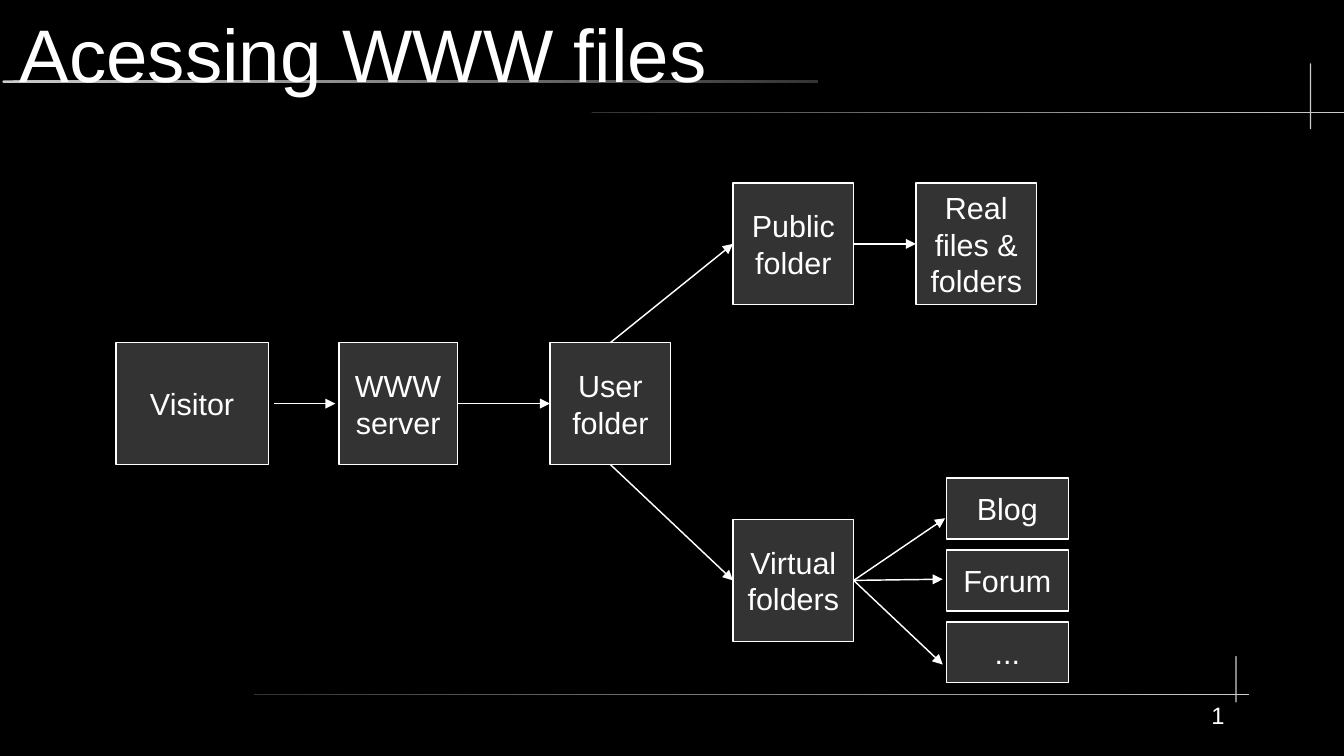
"""Build a slide that shows how a visitor reaches files through a web server."""
from dataclasses import dataclass
from typing import Optional

from lxml import etree
from pptx import Presentation
from pptx import util as u
from pptx.dml.color import RGBColor
from pptx.enum import shapes, text
from pptx.oxml.ns import qn


@dataclass(frozen=True)
class Theme:
    font: str = "Arial"
    back: RGBColor = RGBColor(0, 0, 0)
    ink: RGBColor = RGBColor(0xFF, 0xFF, 0xFF)
    dark: RGBColor = RGBColor(0x33, 0x33, 0x33)
    light: RGBColor = RGBColor(0xCC, 0xCC, 0xCC)
    title: float = 44
    body: float = 18
    number: float = 14
    line: float = 0.85


@dataclass(frozen=True)
class Rule:
    x: float
    y: float
    w: float
    h: float
    start: RGBColor
    end: RGBColor


@dataclass(frozen=True)
class Box:
    label: str
    x: float
    y: float
    w: float = 0.99
    h: float = 1


@dataclass(frozen=True)
class Arrow:
    x1: float
    y1: float
    x2: float
    y2: float
    begin: Optional[tuple[str, int]] = None
    end: Optional[tuple[str, int]] = None


T = Theme()
TOP, LEFT, BOTTOM, RIGHT = range(4)

RULES = [
    Rule(0.02, 0.66, 6.69, 0.02, T.light, T.dark),
    Rule(4.85, 0.92, 6.21, 0.01, T.dark, T.light),
    Rule(10.74, 0.52, 0.01, 0.54, T.light, T.light),
    Rule(2.08, 5.69, 8.16, 0.01, T.dark, T.light),
    Rule(10.13, 5.38, 0.01, 0.38, T.light, T.light),
]

BOXES = [
    Box("Visitor", 0.95, 2.81, w=1.25),
    Box("WWW\nserver", 2.78, 2.81, w=0.97),
    Box("User\nfolder", 4.51, 2.81),
    Box("Public\nfolder", 6.01, 1.5),
    Box("Real\nfiles &\nfolders", 7.51, 1.5),
    Box("Virtual\nfolders", 6.01, 4.26),
] + [
    Box(label, 7.76, 3.92 + 0.59 * i, w=1, h=0.5)
    for i, label in enumerate(["Blog", "Forum", "..."])
]

SERVER, USER, PUBLIC, REAL, VIRTUAL = (box.label for box in BOXES[1:6])

ARROWS = [
    Arrow(2.25, 3.31, 2.75, 3.31),
    Arrow(3.75, 3.31, 4.5, 3.31, (SERVER, RIGHT), (USER, LEFT)),
    Arrow(5, 2.81, 6, 2, (USER, TOP), (PUBLIC, LEFT)),
    Arrow(5, 3.81, 6, 4.75, (USER, BOTTOM), (VIRTUAL, LEFT)),
    Arrow(7, 2, 7.5, 2, (PUBLIC, RIGHT), (REAL, LEFT)),
    Arrow(7, 4.75, 7.75, 4.25, (VIRTUAL, RIGHT)),
    Arrow(7, 4.75, 7.73, 4.75, (VIRTUAL, RIGHT)),
    Arrow(7, 4.75, 7.73, 5.45, (VIRTUAL, RIGHT)),
]


def write(tf, words: str, size: float, align: text.PP_ALIGN) -> None:
    tf.text = words
    for p in tf.paragraphs:
        p.alignment = align
        p.font.name = T.font
        p.font.size = u.Pt(size)
        p.font.color.rgb = T.ink


def clear_margins(tf) -> None:
    tf.margin_left = tf.margin_top = tf.margin_right = tf.margin_bottom = 0


def draw_rule(s, rule: Rule) -> None:
    sp = s.shapes.add_shape(
        shapes.MSO_SHAPE.ROUNDED_RECTANGLE,
        *map(u.Inches, (rule.x, rule.y, rule.w, rule.h)),
    )
    sp.adjustments[0] = 0.5
    sp.shadow.inherit = False
    sp.line.fill.background()
    if rule.start == rule.end:
        sp.fill.solid()
        sp.fill.fore_color.rgb = rule.start
        return
    sp.fill.gradient()
    sp.fill.gradient_angle = 0
    for stop, color in zip(sp.fill.gradient_stops, (rule.start, rule.end)):
        stop.color.rgb = color


def draw_box(s, box: Box):
    sp = s.shapes.add_shape(
        shapes.MSO_SHAPE.RECTANGLE,
        *map(u.Inches, (box.x, box.y, box.w, box.h)),
    )
    sp.shadow.inherit = False
    sp.fill.solid()
    sp.fill.fore_color.rgb = T.dark
    sp.line.color.rgb = T.ink
    sp.line.width = u.Pt(T.line)
    tf = sp.text_frame
    tf.word_wrap = False
    tf.vertical_anchor = text.MSO_ANCHOR.MIDDLE
    write(tf, box.label, T.body, text.PP_ALIGN.CENTER)
    return sp


def draw_arrow(s, arrow: Arrow, drawn: dict) -> None:
    cx = s.shapes.add_connector(
        shapes.MSO_CONNECTOR.STRAIGHT,
        *map(u.Inches, (arrow.x1, arrow.y1, arrow.x2, arrow.y2)),
    )
    if arrow.begin:
        label, side = arrow.begin
        cx.begin_connect(drawn[label], side)
    if arrow.end:
        label, side = arrow.end
        cx.end_connect(drawn[label], side)
    cx.line.color.rgb = T.ink
    cx.line.width = u.Pt(T.line)
    etree.SubElement(cx.line._get_or_add_ln(), qn("a:tailEnd"), type="triangle")
    etree.SubElement(cx.element.spPr, qn("a:effectLst"))


def draw_title(s, words: str) -> None:
    sp = s.shapes.title
    sp.left, sp.top, sp.width, sp.height = map(u.Inches, (0.16, 0.08, 10.43, 0.71))
    tf = sp.text_frame
    clear_margins(tf)
    tf.vertical_anchor = text.MSO_ANCHOR.MIDDLE
    tf.auto_size = text.MSO_AUTO_SIZE.NONE
    write(tf, words, T.title, text.PP_ALIGN.LEFT)
    sp.element.getparent().append(sp.element)


def draw_number(s, words: str) -> None:
    sp = s.shapes.add_textbox(*map(u.Inches, (8.27, 5.75, 1.77, 0.45)))
    tf = sp.text_frame
    tf.word_wrap = True
    clear_margins(tf)
    write(tf, words, T.number, text.PP_ALIGN.RIGHT)


def main() -> None:
    prs = Presentation()
    prs.slide_width, prs.slide_height = u.Inches(11.02), u.Inches(6.2)
    s = prs.slides.add_slide(prs.slide_layouts[5])
    s.background.fill.solid()
    s.background.fill.fore_color.rgb = T.back
    for rule in RULES:
        draw_rule(s, rule)
    draw_title(s, "Acessing WWW files")
    drawn = {box.label: draw_box(s, box) for box in BOXES}
    for arrow in ARROWS:
        draw_arrow(s, arrow, drawn)
    draw_number(s, "1")
    prs.save("out.pptx")


if __name__ == "__main__":
    main()
